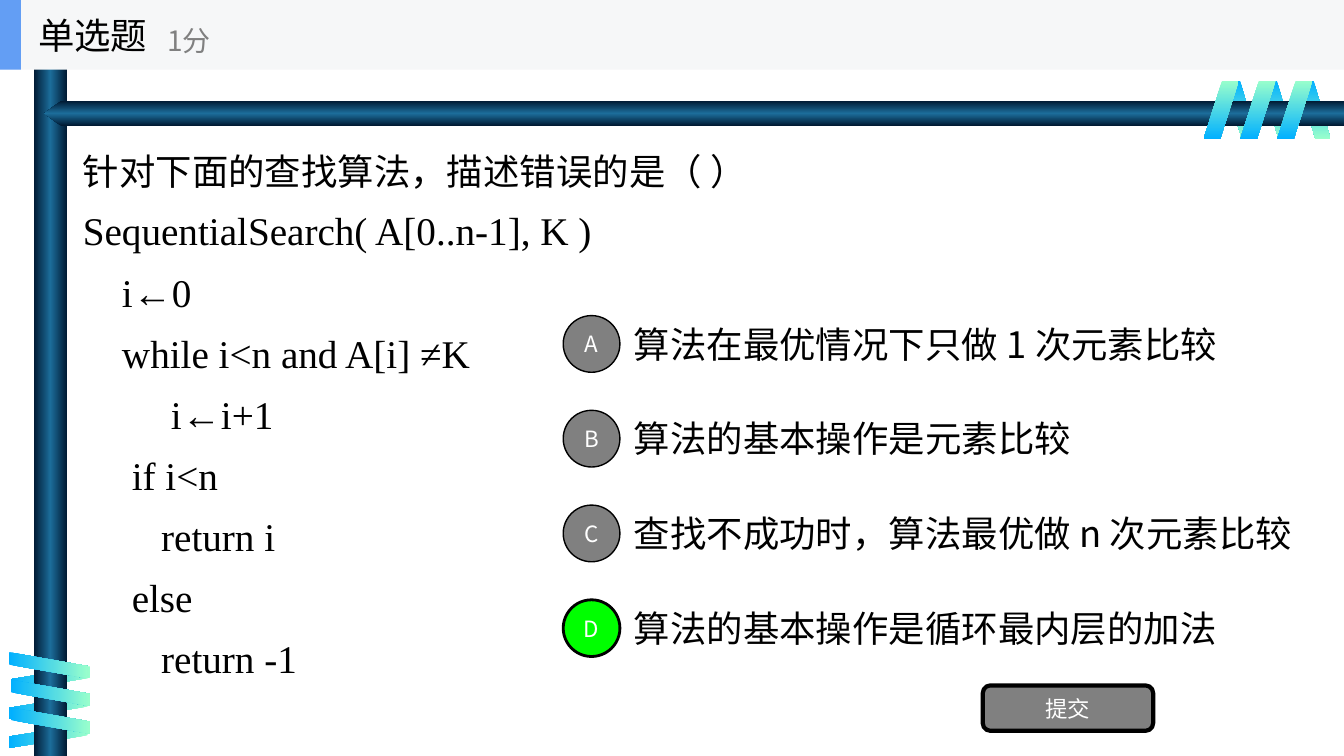
from dataclasses import dataclass

from lxml.etree import SubElement
from pptx import Presentation
from pptx.dml.color import RGBColor as Rgb
from pptx.enum.shapes import MSO_SHAPE as Shape
from pptx.enum.text import MSO_ANCHOR as Anchor, MSO_AUTO_SIZE as AutoSize, PP_ALIGN as Align
from pptx.oxml.ns import qn
from pptx.util import Pt


@dataclass(frozen=True)
class Theme:
    sans: str = "Noto Sans CJK SC"
    serif: str = "Times New Roman"
    black: str = "000000"
    white: str = "FFFFFF"
    gray: str = "808080"
    correct: str = "00FF00"
    header: str = "F6F7F8"
    accent: str = "639EF4"
    bar: tuple = ("001932", "1C6D9A", "001932")
    blue_green: tuple = ("01B0FF", "99FFCC")
    green_blue: tuple = ("99FFCC", "01B0FF")
    code_size: int = 28
    main_size: int = 26
    score_size: int = 20
    label_size: int = 16


theme = Theme()
deck = Presentation()
deck.slide_width, deck.slide_height = Pt(960), Pt(540)
slide = deck.slides.add_slide(deck.slide_layouts[1])
shapes = slide.shapes


def add_block(kind, frame, colors, angle=0, outline=0):
    """Add a preset shape with a plain fill (one colour) or a gradient (several)."""
    block = shapes.add_shape(kind, *map(Pt, frame))
    block.shadow.inherit = False
    if outline:
        block.line.color.rgb = Rgb.from_string(theme.black)
        block.line.width = Pt(outline)
    else:
        block.line.fill.background()
    if isinstance(colors, str):
        block.fill.solid()
        block.fill.fore_color.rgb = Rgb.from_string(colors)
        return block
    block.fill.gradient()
    gradient = block.element.spPr.find(qn("a:gradFill"))
    gradient.set("rotWithShape", "0")
    gradient.find(qn("a:lin")).set("ang", str(angle * 60000))
    stops = gradient.find(qn("a:gsLst"))
    stops.clear()
    for index, color in enumerate(colors):
        stop = SubElement(stops, qn("a:gs"), pos=str(index * 100000 // (len(colors) - 1)))
        SubElement(stop, qn("a:srgbClr"), val=color)
    return block


def write(holder, lines, size, color=theme.black, font=theme.sans, align=Align.LEFT):
    """Fill a shape with vertically centred paragraphs in one style."""
    frame = holder.text_frame
    frame.word_wrap = True
    frame.auto_size = AutoSize.NONE
    frame.vertical_anchor = Anchor.MIDDLE
    frame.text = "\n".join(lines)
    for paragraph in frame.paragraphs:
        paragraph.alignment = align
        paragraph.font.size = Pt(size)
        paragraph.font.name = font
        paragraph.font.color.rgb = Rgb.from_string(color)
    return frame


# Coils wound around the two bars: back ribbons, bars, front ribbons
top_back = [(874.8 + 26.28 * i, 57.6, 23.04, 41.76) for i in range(3)]
top_front = [(859.7 + 26.28 * i, 57.6, 25.2, 41.76) for i in range(3)]
side_back = [(x, 456.5 + 20.5 * i, 17.3, 56.2) for i, x in enumerate((27.4, 25.9, 25.9))]
side_front = [(x, 447.1 + 19.8 * i, 18.7, 56.2) for i, x in enumerate((25.2, 26.6, 26.6))]
back_coils = [(top_back, theme.blue_green, 90, 180, True),
              (side_back, theme.green_blue, 0, 90, True)]
front_coils = [(side_front, theme.blue_green, 0, 270, False),
               (top_front, theme.green_blue, 90, 0, False)]

for layer in (back_coils, front_coils):
    for ribbons, colors, angle, rotation, flipped in layer:
        for frame in ribbons:
            ribbon = add_block(Shape.PARALLELOGRAM, frame, colors, angle)
            ribbon.adjustments[0] = 0.53
            ribbon.rotation = rotation
            if flipped:
                ribbon.element.spPr.xfrm.set("flipH", "1")
    if layer is back_coils:
        add_block(Shape.RECTANGLE, (24, 0, 24, 540), theme.bar)
        top_bar = add_block(Shape.PENTAGON, (31.7, 72, 928.3, 18), theme.bar, 90)
        top_bar.adjustments[0] = 0.68
        top_bar.element.spPr.xfrm.set("flipH", "1")

# Question and pseudocode
question = slide.placeholders[1]
question.left, question.top, question.width, question.height = map(Pt, (52, 75, 812, 434))
question_lines = [
    "针对下面的查找算法，描述错误的是（ ）",
    "SequentialSearch( A[0..n-1], K )",
    "    i←0",
    "    while i<n and A[i] ≠K",
    "         i←i+1",
    "     if i<n",
    "        return i",
    "     else",
    "        return -1",
]
question_text = question.text_frame
question_text.text = "\n".join(question_lines)
question_text.auto_size = AutoSize.NONE
question_text.vertical_anchor = Anchor.MIDDLE
for index, paragraph in enumerate(question_text.paragraphs):
    properties = paragraph._p.get_or_add_pPr()
    properties.set("marL", "0")
    properties.set("indent", "0")
    SubElement(properties, qn("a:buNone"))
    paragraph.line_spacing = 1.3
    paragraph.space_before = Pt(0)
    paragraph.font.size = Pt(theme.code_size if index else theme.main_size)
    paragraph.font.name = theme.serif
    paragraph.font.color.rgb = Rgb.from_string(theme.black)

# Answer options
options = [
    ("A", "算法在最优情况下只做 1 次元素比较"),
    ("B", "算法的基本操作是元素比较"),
    ("C", "查找不成功时，算法最优做 n 次元素比较"),
    ("D", "算法的基本操作是循环最内层的加法"),
]
correct_letter = "D"
for row, (letter, statement) in enumerate(options):
    top = 220.3 + 67.68 * row
    answer = shapes.add_textbox(Pt(445.7), Pt(top), Pt(506), Pt(50.4))
    write(answer, [statement], theme.main_size)
    is_correct = letter == correct_letter
    badge = add_block(Shape.OVAL, (402.3, top + 5.1, 40.5, 40.5),
                      theme.correct if is_correct else theme.gray,
                      outline=2 if is_correct else 1)
    badge_text = write(badge, [letter], theme.label_size, theme.white, align=Align.CENTER)
    badge_text.margin_left = badge_text.margin_right = Pt(0)

# Submit button
submit = add_block(Shape.ROUNDED_RECTANGLE, (702, 489.6, 121.7, 32.4), theme.gray, outline=3)
write(submit, ["提交"], theme.label_size, theme.white, align=Align.CENTER)

# Header strip, with the title raised above it
add_block(Shape.RECTANGLE, (0, 0, 960, 49.7), theme.header)
add_block(Shape.RECTANGLE, (0, 0, 15, 49.7), theme.accent)
title = shapes.title
title.left, title.top, title.width, title.height = map(Pt, (20, 0, 150, 49.7))
write(title, ["单选题"], theme.main_size)
shapes.element.append(title.element)
score = shapes.add_textbox(Pt(112.3), Pt(8.6), Pt(180), Pt(40.3))
write(score, ["1分"], theme.score_size, theme.gray)

deck.save("out.pptx")
